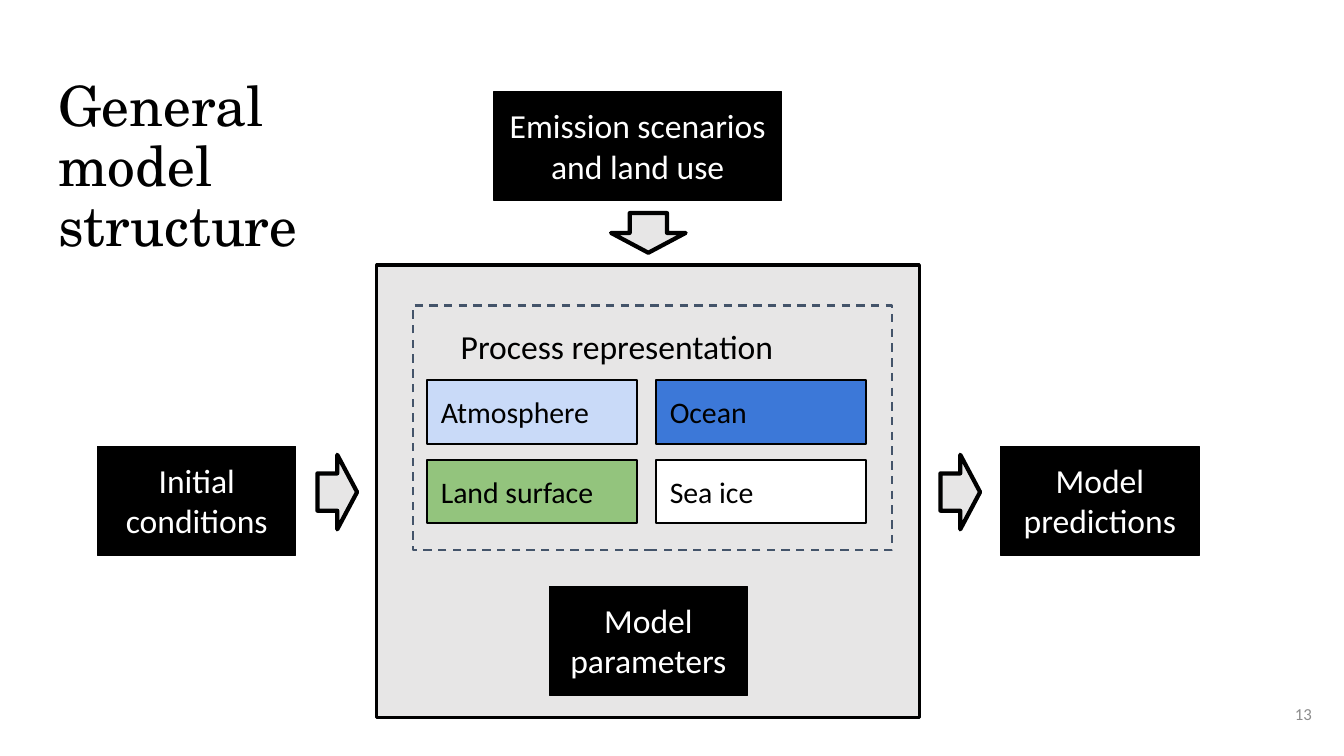
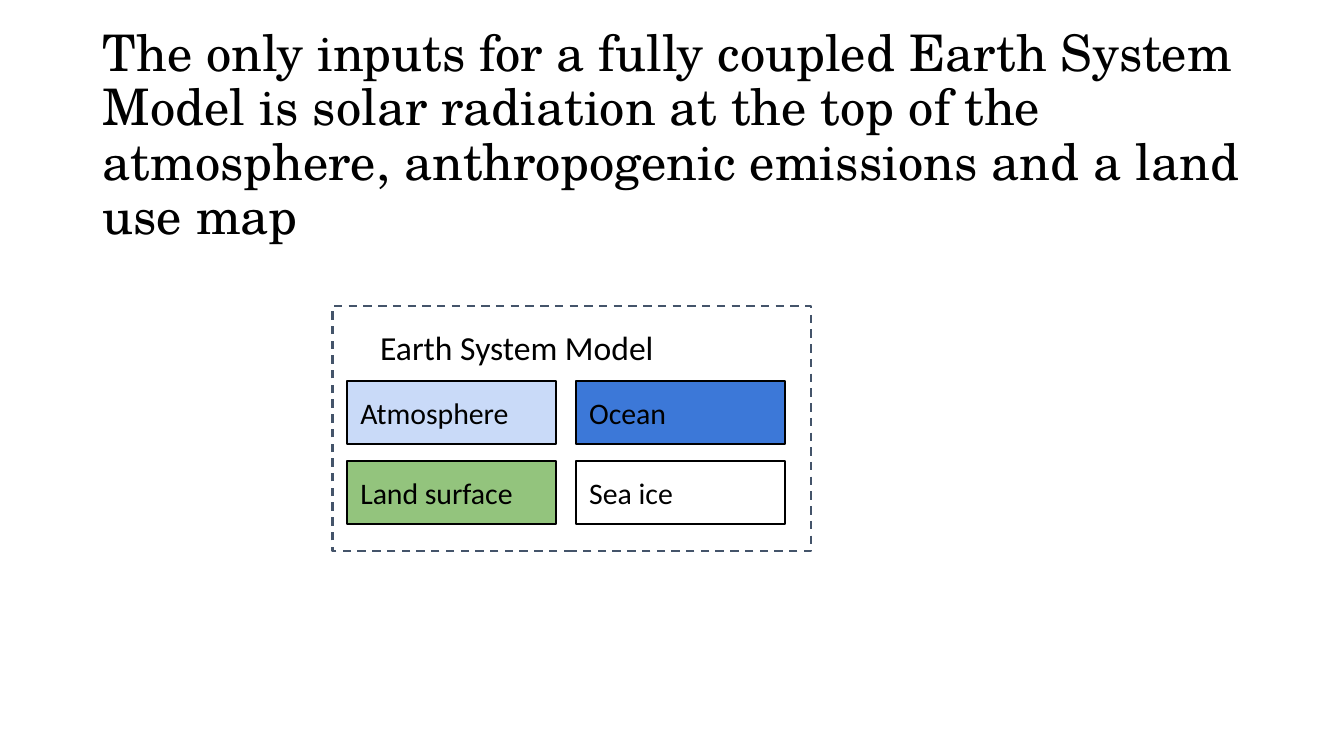
from pptx import Presentation
from pptx.dml.color import RGBColor
from pptx.enum.dml import MSO_LINE
from pptx.enum.shapes import MSO_SHAPE
from pptx.enum.text import MSO_ANCHOR, MSO_AUTO_SIZE, PP_ALIGN
from pptx.util import Cm, Pt

# Colours and fonts
BLACK = RGBColor(0x00, 0x00, 0x00)
WHITE = RGBColor(0xFF, 0xFF, 0xFF)
GREY = RGBColor(0xE7, 0xE6, 0xE6)
SLATE = RGBColor(0x44, 0x54, 0x6A)
SKY = RGBColor(0xC9, 0xDA, 0xF8)
BLUE = RGBColor(0x3C, 0x78, 0xD8)
GREEN = RGBColor(0x93, 0xC4, 0x7D)
DIM = RGBColor(0x8C, 0x8C, 0x8C)
SERIF, SANS = "TeX Gyre Schola", "Calibri"

# Text frame formats
PAD = {
    "margin_left": Cm(0.34), "margin_right": Cm(0.34),
    "margin_top": Cm(0.34), "margin_bottom": Cm(0.34),
    "word_wrap": True, "vertical_anchor": MSO_ANCHOR.TOP,
}
GROW = PAD | {"auto_size": MSO_AUTO_SIZE.SHAPE_TO_FIT_TEXT}
MID = PAD | {"vertical_anchor": MSO_ANCHOR.MIDDLE}
TIGHT = MID | {
    "margin_left": Cm(0.25), "margin_right": Cm(0.25),
    "margin_top": Cm(0.13), "margin_bottom": Cm(0.13),
}

# Paragraph formats
LEFT = {"alignment": PP_ALIGN.LEFT}
MIDDLE = {"alignment": PP_ALIGN.CENTER}
RIGHT = {"alignment": PP_ALIGN.RIGHT}
HEAD = LEFT | {"line_spacing": 0.9}


def draw(slide, kind, at, fill, line, width):
    shape = slide.shapes.add_shape(kind, *map(Cm, at))
    shape.shadow.inherit = False
    if fill is None:
        shape.fill.background()
    else:
        shape.fill.solid()
        shape.fill.fore_color.rgb = fill
    shape.line.color.rgb = line
    shape.line.width = Pt(width)
    return shape


def write(shape, text, size, color=BLACK, name=SANS, frame=GROW, para=LEFT):
    body = shape.text_frame
    body.text = text
    first = body.paragraphs[0]
    first.font.color.rgb = color
    looks = {"size": Pt(size), "name": name}
    for part, values in ((body, frame), (first, para), (first.font, looks)):
        for key, value in values.items():
            setattr(part, key, value)


deck = Presentation()
deck.slide_width, deck.slide_height = Cm(33.87), Cm(19.05)
blank = deck.slide_layouts[6]

# Title, its place, size and frame; model label and corner of its frame
pages = [
    ("General model structure", (1.14, 1.65, 9.63, 3.4), 39.6, PAD,
     "Process representation", 10.41, 7.7),
    ("The only inputs for a fully coupled Earth System Model is solar "
     "radiation at the top of the atmosphere, anthropogenic emissions "
     "and a land use map", (2.34, 1.6, 29.21, 3.68), 36, TIGHT,
     "Earth System Model", 8.38, 7.72),
]
parts = [("Atmosphere", SKY), ("Ocean", BLUE),
         ("Land surface", GREEN), ("Sea ice", WHITE)]

for num, (title, at, size, frame, label, left, top) in enumerate(pages):
    slide = deck.slides.add_slide(blank)

    # Grey panel behind the model
    if num == 0:
        draw(slide, MSO_SHAPE.RECTANGLE, (9.5, 6.68, 13.67, 11.4),
             GREY, BLACK, 2.25)

    # Title
    box = slide.shapes.add_textbox(*map(Cm, at))
    write(box, title, size, name=SERIF, frame=frame, para=HEAD)

    # Dashed frame with its label
    border = draw(slide, MSO_SHAPE.RECTANGLE, (left, top, 12.07, 6.17),
                  None, SLATE, 1.5)
    border.line.dash_style = MSO_LINE.DASH
    box = slide.shapes.add_textbox(Cm(left + 0.86), Cm(top + 0.18),
                                   Cm(10.13), Cm(1.7))
    write(box, label, 24)

    # Two by two grid of model parts
    for i, (text, fill) in enumerate(parts):
        row, col = divmod(i, 2)
        cell = draw(slide, MSO_SHAPE.RECTANGLE,
                    (left + 0.36 + col * 5.77, top + 1.88 + row * 2.01,
                     5.28, 1.6), fill, BLACK, 1.5)
        write(cell, text, 21.3)

# Black boxes around the model
slide = deck.slides[0]
for text, x, y, wide in [
    ("Model parameters", 13.84, 14.78, 5),
    ("Initial conditions", 2.46, 11.25, 5),
    ("Emission scenarios and land use", 12.45, 2.31, 7.24),
    ("Model predictions", 25.22, 11.25, 5),
]:
    box = draw(slide, MSO_SHAPE.RECTANGLE, (x, y, wide, 2.74),
               BLACK, BLACK, 0.75)
    write(box, text, 24, WHITE, para=MIDDLE)

# Block arrows
for kind, at in [
    (MSO_SHAPE.RIGHT_ARROW, (8, 11.46, 1, 1.88)),
    (MSO_SHAPE.RIGHT_ARROW, (23.7, 11.46, 1, 1.88)),
    (MSO_SHAPE.DOWN_ARROW, (15.4, 5.37, 1.88, 1)),
]:
    draw(slide, kind, at, GREY, BLACK, 3)

# Slide number
box = slide.shapes.add_textbox(Cm(31.37), Cm(17.27), Cm(2.03), Cm(1.45))
write(box, "13", 12, DIM, frame=MID, para=RIGHT)

deck.save("out.pptx")
